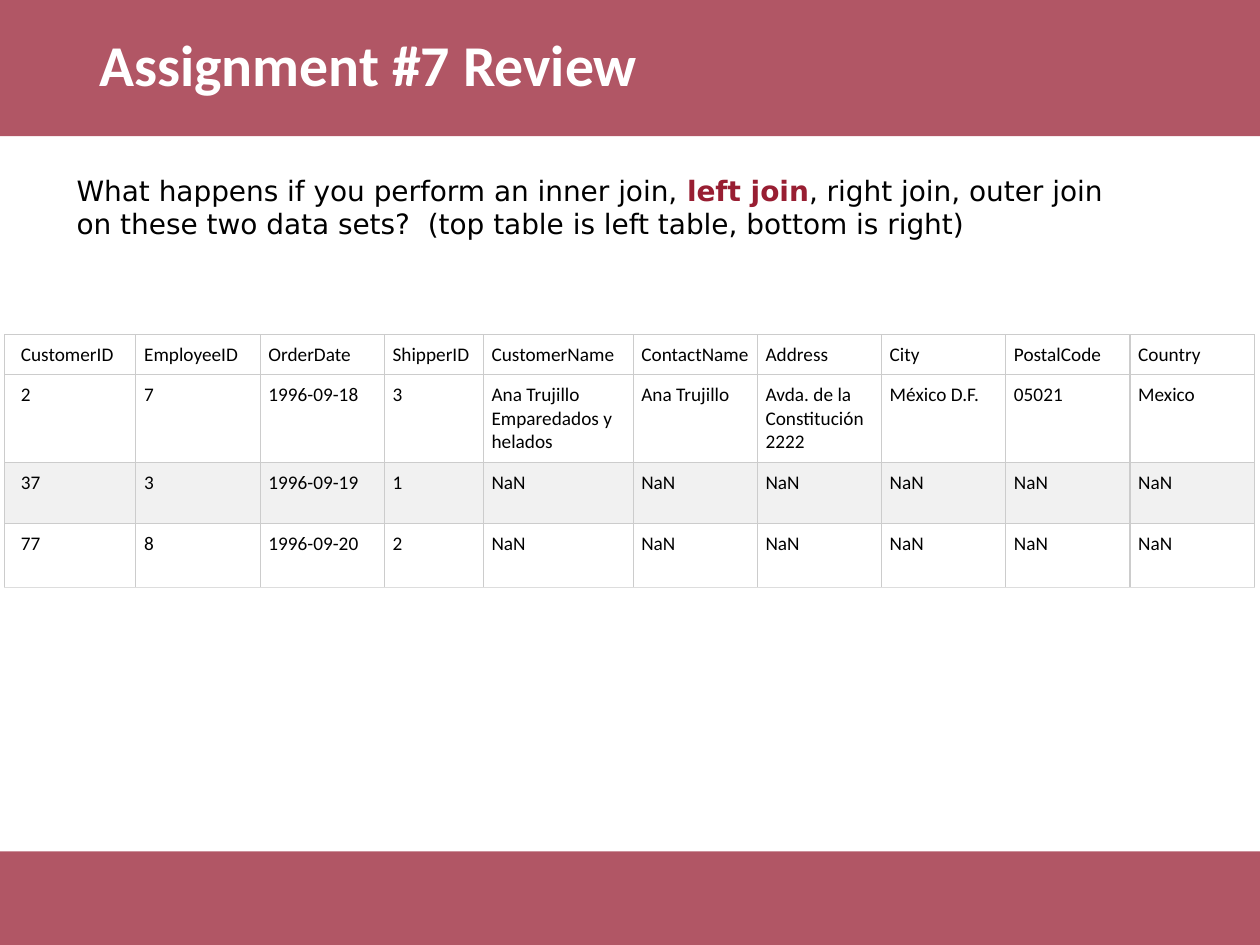
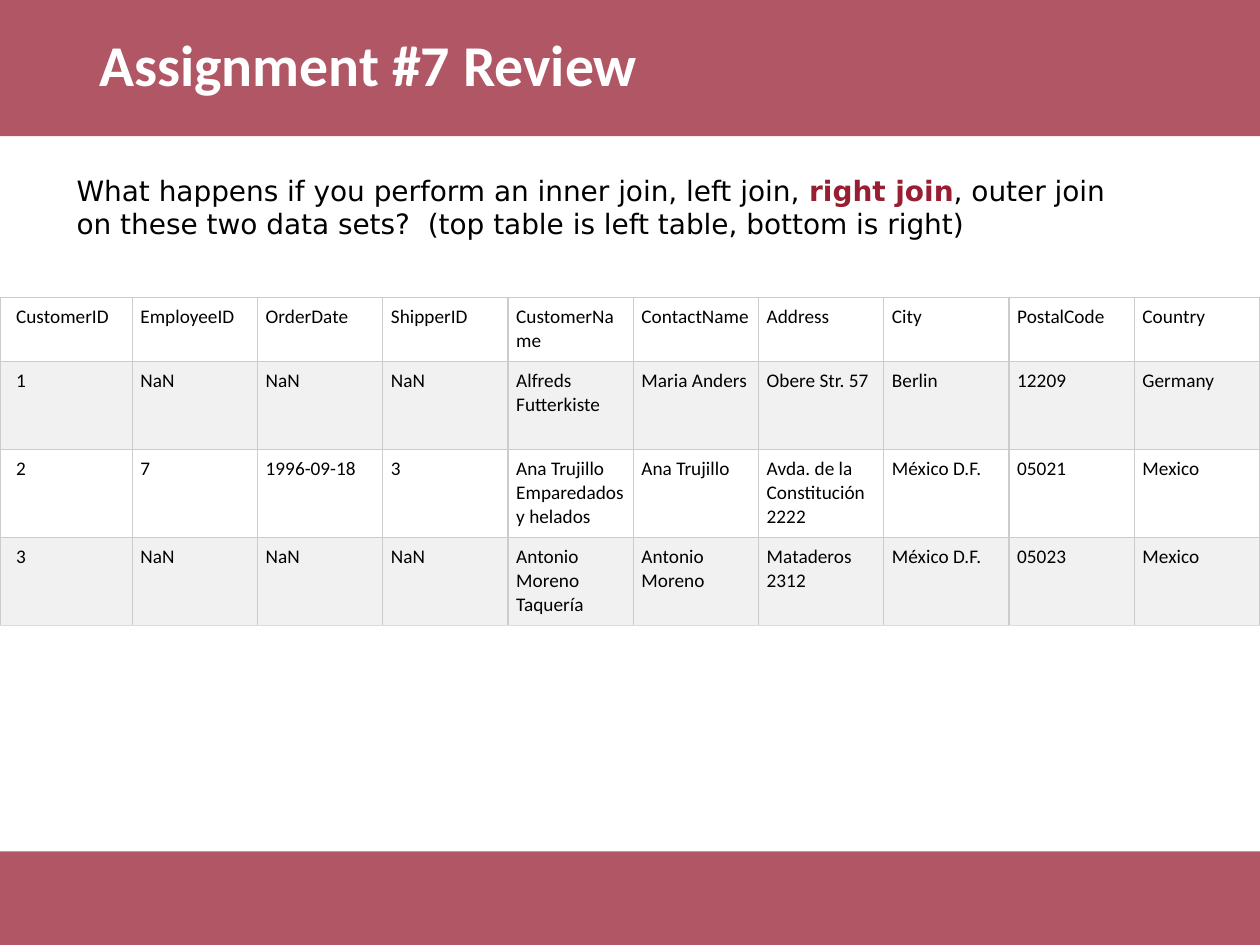
from pptx import Presentation
from pptx.dml.color import RGBColor
from pptx.enum import shapes, text
from pptx.oxml import ns
from pptx.util import Pt
from lxml import etree

CRIMSON = RGBColor(0x98, 0x1E, 0x32)
WHITE = RGBColor(0xFF, 0xFF, 0xFF)
BLACK = RGBColor(0, 0, 0)
STRIPE = RGBColor(0xF1, 0xF1, 0xF1)
GRID = RGBColor(0xCC, 0xCC, 0xCC)
GRID_END = RGBColor(0xDD, 0xDD, 0xDD)

SLIDE_WIDTH, SLIDE_HEIGHT = 720, 540
HEADER_HEIGHT, FOOTER_HEIGHT = 77.8, 53.5
TEXT_WIDTH = 620.6
CELL_INSET, FIRST_INSET = 4.7, 9.2

TITLE = "Assignment #7 Review"
QUESTION_END = " on these two data sets?  (top table is left table, bottom is right)"
HEADINGS = ("CustomerID", "EmployeeID", "OrderDate", "ShipperID", "CustomerName",
            "ContactName", "Address", "City", "PostalCode", "Country")
ANA_ORDER = ("2", "7", "1996-09-18", "3", "Ana Trujillo Emparedados y helados",
             "Ana Trujillo", "Avda. de la Constitución 2222", "México D.F.", "05021", "Mexico")
NO_CUSTOMER = ("NaN",) * 6
NO_ORDER = ("NaN",) * 3

JOINS = [
    {
        "question": ("What happens if you perform an inner join, ", "left join",
                     ", right join, outer join" + QUESTION_END),
        "corner": (2.7, 191.2),
        "widths": [75, 71, 71, 56.6, 85.6] + [71] * 5,
        "heights": [22.9, 50.3, 34.9, 36.7],
        "striped": {2},
        "rows": [
            HEADINGS,
            ANA_ORDER,
            ("37", "3", "1996-09-19", "1") + NO_CUSTOMER,
            ("77", "8", "1996-09-20", "2") + NO_CUSTOMER,
        ],
    },
    {
        "question": ("What happens if you perform an inner join, left join, ", "right join",
                     ", outer join" + QUESTION_END),
        "corner": (0, 169.8),
        "widths": [75.6] + [71.6] * 9,
        "heights": [36.6, 50.3, 50.3, 50.3],
        "striped": {1, 3},
        "rows": [
            HEADINGS,
            ("1",) + NO_ORDER + ("Alfreds Futterkiste", "Maria Anders", "Obere Str. 57",
                                 "Berlin", "12209", "Germany"),
            ANA_ORDER,
            ("3",) + NO_ORDER + ("Antonio Moreno Taquería", "Antonio Moreno", "Mataderos 2312",
                                 "México D.F.", "05023", "Mexico"),
        ],
    },
]


def add_span(para, words, font, size, color, bold=False):
    span = para.add_run()
    span.text = words
    span.font.name = font
    span.font.size = Pt(size)
    span.font.color.rgb = color
    span.font.bold = bold


def add_band(page, top, height):
    band = page.shapes.add_shape(shapes.MSO_SHAPE.RECTANGLE, 0, Pt(top),
                                 Pt(SLIDE_WIDTH), Pt(height))
    band.shadow.inherit = False
    band.line.fill.background()
    band.fill.solid()
    band.fill.fore_color.rgb = CRIMSON
    color = band.fill._xPr.find(".//" + ns.qn("a:srgbClr"))
    etree.SubElement(color, ns.qn("a:alpha"), val="75000")


def add_text_box(page, left, top, height, anchor):
    frame = page.shapes.add_textbox(Pt(left), Pt(top), Pt(TEXT_WIDTH), Pt(height)).text_frame
    frame.word_wrap = True
    frame.vertical_anchor = anchor
    return frame


def add_title(page):
    frame = add_text_box(page, 49.7, 0, HEADER_HEIGHT, text.MSO_ANCHOR.MIDDLE)
    para = frame.paragraphs[0]
    para.line_spacing = 0.9
    add_span(para, TITLE, "Calibri", 33, WHITE, True)


def add_question(page, parts):
    frame = add_text_box(page, 36.7, 94.3, 67.7, text.MSO_ANCHOR.TOP)
    frame.margin_top = Pt(4.7)
    before, join, after = parts
    for words, color, bold in ((before, BLACK, False), (join, CRIMSON, True),
                               (after, BLACK, False)):
        add_span(frame.paragraphs[0], words, "DejaVu Sans", 16, color, bold)


def set_borders(cell, bottom):
    properties = cell._tc.get_or_add_tcPr()
    for side, color in (("L", GRID), ("R", GRID), ("T", GRID), ("B", bottom)):
        line = etree.SubElement(properties, ns.qn("a:ln" + side), w=str(Pt(0.75)))
        fill = etree.SubElement(line, ns.qn("a:solidFill"))
        etree.SubElement(fill, ns.qn("a:srgbClr"), val=str(color))


def add_join_table(page, join):
    rows, widths, heights = join["rows"], join["widths"], join["heights"]
    left, top = join["corner"]
    table = page.shapes.add_table(len(rows), len(widths), Pt(left), Pt(top),
                                  Pt(sum(widths)), Pt(sum(heights))).table
    table.first_row = table.horz_banding = False
    for column, width in zip(table.columns, widths):
        column.width = Pt(width)
    for row, height in zip(table.rows, heights):
        row.height = Pt(height)
    for r, values in enumerate(rows):
        for c, value in enumerate(values):
            cell = table.cell(r, c)
            cell.margin_left = Pt(CELL_INSET if c else FIRST_INSET)
            cell.margin_right = cell.margin_top = cell.margin_bottom = Pt(CELL_INSET)
            set_borders(cell, GRID_END if r == len(rows) - 1 else GRID)
            cell.fill.solid()
            cell.fill.fore_color.rgb = STRIPE if r in join["striped"] else WHITE
            add_span(cell.text_frame.paragraphs[0], value, "Calibri", 11, BLACK)


def main():
    deck = Presentation()
    deck.slide_width, deck.slide_height = Pt(SLIDE_WIDTH), Pt(SLIDE_HEIGHT)
    for join in JOINS:
        page = deck.slides.add_slide(deck.slide_layouts[6])
        add_band(page, SLIDE_HEIGHT - FOOTER_HEIGHT, FOOTER_HEIGHT)
        add_band(page, 0, HEADER_HEIGHT)
        add_title(page)
        add_join_table(page, join)
        add_question(page, join["question"])
    deck.save("out.pptx")


if __name__ == "__main__":
    main()
